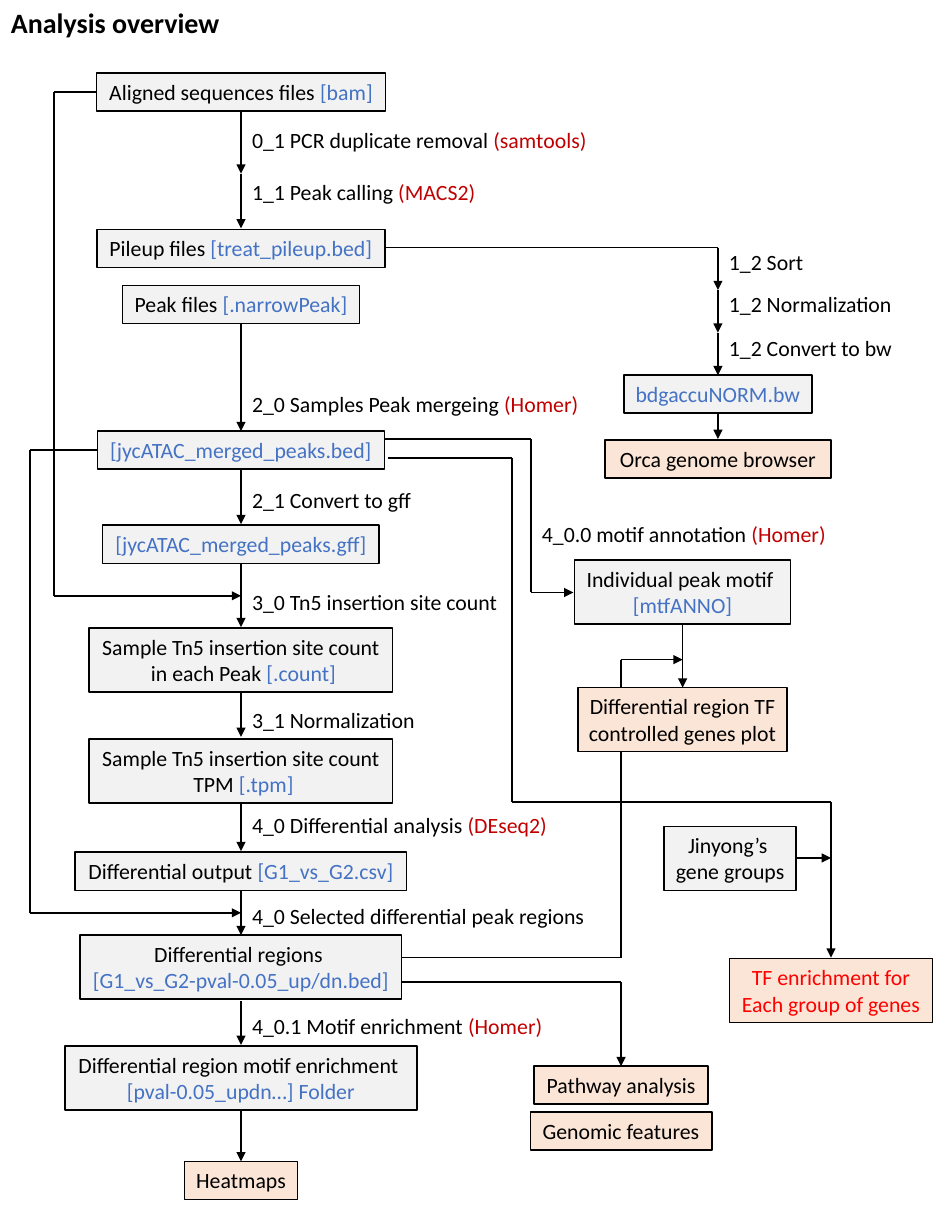
from itertools import pairwise
from lxml.etree import SubElement
from pptx import Presentation
from pptx.dml.color import RGBColor
from pptx.enum.shapes import MSO_CONNECTOR, MSO_SHAPE
from pptx.enum.text import MSO_ANCHOR, MSO_AUTO_SIZE, PP_ALIGN
from pptx.oxml.ns import qn
from pptx.util import Inches, Pt

HUE = {"black": "000000", "blue": "4472C4", "red": "C00000",
       "alert": "FF0000", "grey": "F2F2F2", "peach": "FBE5D6"}

deck = Presentation()
deck.slide_width, deck.slide_height = Inches(8.5), Inches(11)
slide = deck.slides.add_slide(deck.slide_layouts[6])

# Grid of 85 columns by 110 rows
COL, ROW = deck.slide_width / 85, deck.slide_height / 110
MAIN, SIDE, MOTIF, DIFF, GENE = 21.52, 64.1, 60.95, 55.45, 74.2
ONE, TWO = 3.4, 5.7


def tint(hue):
    return RGBColor.from_string(HUE[hue])


def write(shape, text, ink="black", tail="red", size=14, bold=False,
          align=PP_ALIGN.LEFT, anchor=MSO_ANCHOR.TOP, wrap=False):
    """Set the text; the part of a line after a bar takes the tail colour."""
    frame = shape.text_frame
    frame.word_wrap = wrap
    frame.auto_size = MSO_AUTO_SIZE.SHAPE_TO_FIT_TEXT
    frame.vertical_anchor = anchor
    for row, line in enumerate(text.split("\n")):
        para = frame.add_paragraph() if row else frame.paragraphs[0]
        para.alignment = align
        for part, hue in zip(line.split("|"), (ink, tail)):
            if part:
                run = para.add_run()
                run.text = part
                run.font.name, run.font.size = "Calibri", Pt(size)
                run.font.bold = bold
                run.font.color.rgb = tint(hue)


# Routes: corner points, with an arrowhead at the end
routes = [[(MAIN, top), (MAIN, end)] for top, end in (
    (9.9, 15.5), (15.5, 20.4), (28.9, 38.5), (41.9, 46.8), (50.3, 56),
    (61.8, 65.8), (71.8, 76), (79.5, 83.5), (89.4, 93.3), (99.1, 103.7))]
routes += [
    [(34.4, 22.1), (SIDE, 22.1), (SIDE, 25.9)],
    [(SIDE, 25.9), (SIDE, 29.7)],
    [(SIDE, 29.7), (SIDE, 33.5)],
    [(SIDE, 36.9), (SIDE, 39.2)],
    [(8.6, 8.2), (4.8, 8.2), (4.8, 53.2), (MAIN, 53.2)],
    [(8.7, 40.2), (2.7, 40.2), (2.7, 81.5), (MAIN, 81.5)],
    [(34.3, 39.2), (47.4, 39.2), (47.4, 52.9), (51.2, 52.9)],
    [(34.6, 40.9), (45.7, 40.9), (45.7, 71.6), (GENE, 71.6), (GENE, 85.5)],
    [(35.9, 85.5), (DIFF, 85.5), (DIFF, 58.9), (MOTIF, 58.9)],
    [(35.9, 87.7), (DIFF, 87.7), (DIFF, 95.2)],
    [(MOTIF, 55.7), (MOTIF, 61.4)],
    [(71.1, 76.6), (GENE, 76.6)],
]
for route in routes:
    for (x, y), (to, end) in pairwise(route):
        wire = slide.shapes.add_connector(
            MSO_CONNECTOR.STRAIGHT, round(x * COL), round(y * ROW),
            round(to * COL), round(end * ROW))
        wire.line.width = Pt(1)
        wire.line.color.rgb = tint("black")
        props = wire.element.spPr
        if (to, end) == route[-1]:
            SubElement(props.find(qn("a:ln")), qn("a:tailEnd"), type="triangle")
        SubElement(props, qn("a:effectLst"))

# Title and step labels: left, top, width, text
title = slide.shapes.add_textbox(0, 0, round(20.7 * COL), round(4 * ROW))
write(title, "Analysis overview", size=18, bold=True)

for x, y, wide, text in (
    (MAIN, 10.8, 32.2, "0_1 PCR duplicate removal |(samtools)"),
    (MAIN, 15.5, 22.6, "1_1 Peak calling |(MACS2)"),
    (SIDE, 21.7, 8.7, "1_2 Sort"),
    (SIDE, 25.5, 16.7, "1_2 Normalization"),
    (SIDE, 29.4, 16.7, "1_2 Convert to bw"),
    (MAIN, 34.4, 31.8, "2_0 Samples Peak mergeing |(Homer)"),
    (MAIN, 43, 16.4, "2_1 Convert to gff"),
    (47.4, 46, 28.7, "4_0.0 motif annotation |(Homer)"),
    (MAIN, 52.1, 24.2, "3_0 Tn5 insertion site count"),
    (MAIN, 62.6, 16.7, "3_1 Normalization"),
    (MAIN, 72, 28.7, "4_0 Differential analysis |(DEseq2)"),
    (MAIN, 80.1, 32, "4_0 Selected differential peak regions"),
    (MAIN, 89.9, 28.2, "4_0.1 Motif enrichment |(Homer)"),
):
    label = slide.shapes.add_textbox(round(x * COL), round(y * ROW),
                                     round(wide * COL), round(ONE * ROW))
    write(label, text)

# Boxes: centre, top, width, height, fill, text
for mid, y, wide, high, fill, text in (
    (MAIN, 6.5, 25.8, ONE, "grey", "Aligned sequences files |[bam]"),
    (MAIN, 20.5, 25.7, ONE, "grey", "Pileup files |[treat_pileup.bed]"),
    (MAIN, 25.5, 21.2, ONE, "grey", "Peak files |[.narrowPeak]"),
    (MAIN, 38.5, 25.6, ONE, "grey", "|[jycATAC_merged_peaks.bed]"),
    (MAIN, 46.9, 24.7, ONE, "grey", "|[jycATAC_merged_peaks.gff]"),
    (MAIN, 56.1, 27.1, TWO, "grey",
     "Sample Tn5 insertion site count\n in each Peak |[.count]"),
    (MAIN, 66, 27.1, TWO, "grey",
     "Sample Tn5 insertion site count\n TPM |[.tpm]"),
    (MAIN, 76.1, 29.6, ONE, "grey", "Differential output |[G1_vs_G2.csv]"),
    (MAIN, 83.5, 28.7, TWO, "grey",
     "Differential regions \n|[G1_vs_G2-pval-0.05_up/dn.bed]"),
    (MAIN, 93.4, 31.4, TWO, "grey",
     "Differential region motif enrichment \n|[pval-0.05_updn…] Folder"),
    (MAIN, 103.7, 10.1, ONE, "peach", "Heatmaps"),
    (SIDE, 33.5, 16.8, ONE, "grey", "|bdgaccuNORM.bw"),
    (SIDE, 39.3, 20.2, ONE, "peach", "Orca genome browser"),
    (MOTIF, 50, 19.3, TWO, "grey", "Individual peak motif \n|[mtfANNO]"),
    (MOTIF, 61.4, 18.7, TWO, "peach",
     "Differential region TF controlled genes plot"),
    (65.2, 73.8, 11.8, TWO, "grey", "Jinyong’s \ngene groups"),
    (GENE, 85.6, 18.1, TWO, "peach", "TF enrichment for\nEach group of genes"),
    (DIFF, 95.2, 15.5, ONE, "peach", "Pathway analysis"),
    (DIFF, 99.3, 16.2, ONE, "peach", "Genomic features"),
):
    box = slide.shapes.add_shape(
        MSO_SHAPE.RECTANGLE, round((mid - wide / 2) * COL), round(y * ROW),
        round(wide * COL), round(high * ROW))
    box.shadow.inherit = False
    box.fill.solid()
    box.fill.fore_color.rgb = tint(fill)
    box.line.color.rgb = tint("black")
    box.line.width = Pt(1)
    write(box, text, ink="alert" if mid == GENE else "black", tail="blue",
          align=PP_ALIGN.CENTER, wrap=high == TWO and "\n" not in text)

deck.save("out.pptx")
